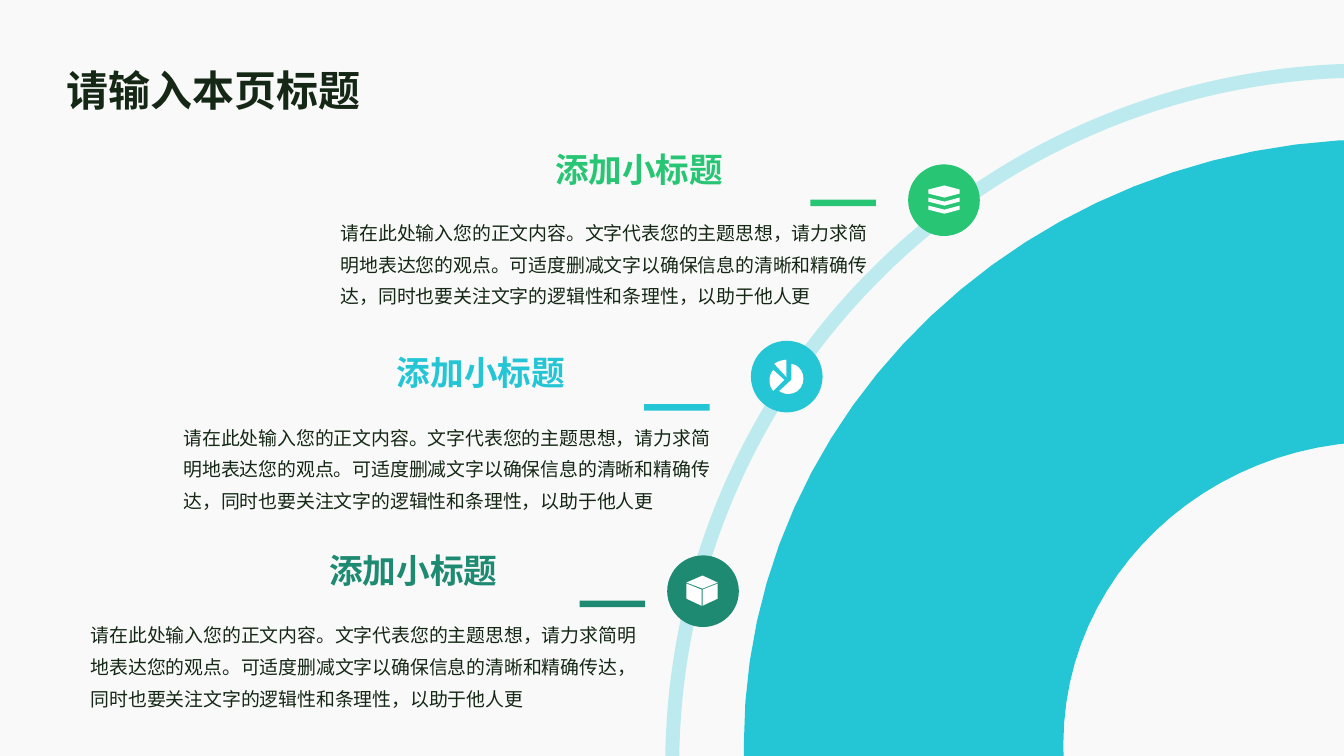
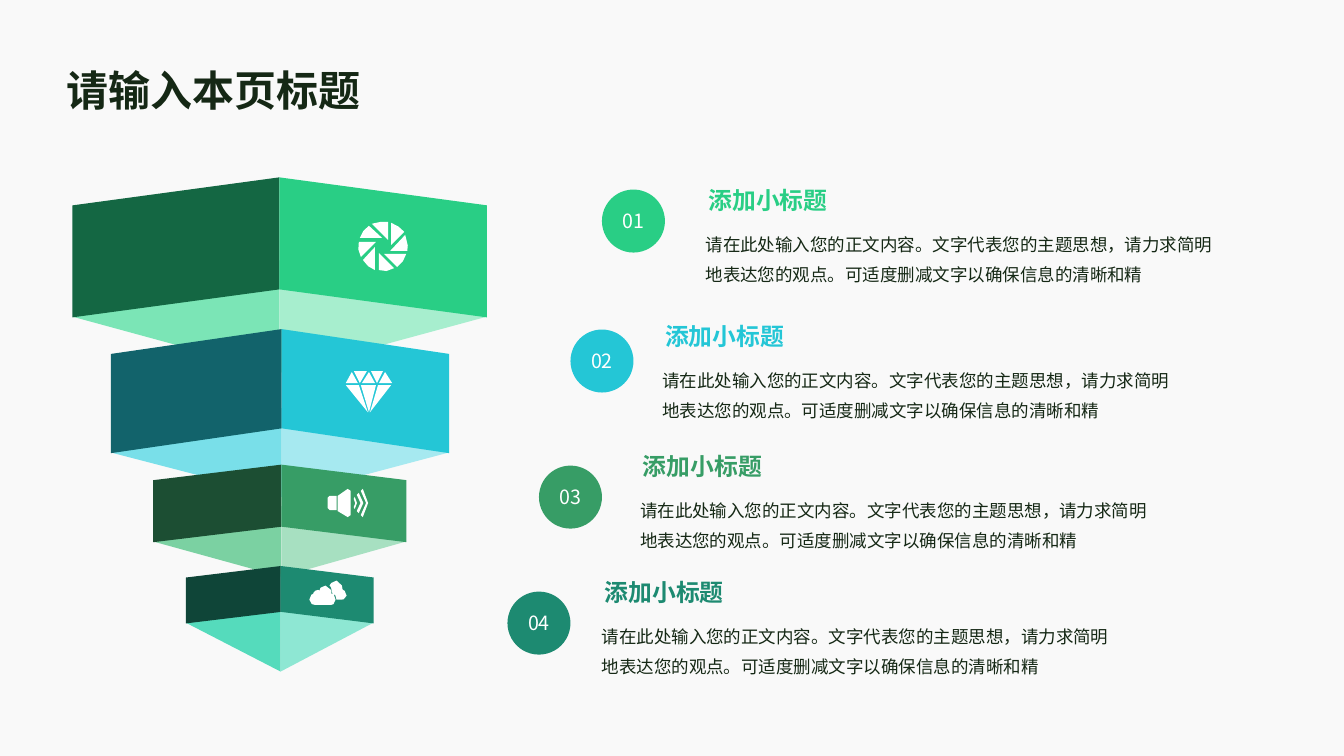
from dataclasses import dataclass

from lxml import etree
from pptx import Presentation
from pptx.dml.color import RGBColor
from pptx.enum.shapes import MSO_SHAPE
from pptx.enum.text import MSO_ANCHOR, MSO_AUTO_SIZE, PP_ALIGN
from pptx.oxml.ns import qn
from pptx.util import Pt

OVAL, BAR = MSO_SHAPE.OVAL, MSO_SHAPE.RECTANGLE
TRIANGLE, PARALLELOGRAM = MSO_SHAPE.ISOSCELES_TRIANGLE, MSO_SHAPE.PARALLELOGRAM
LEFT, CENTER = PP_ALIGN.LEFT, PP_ALIGN.CENTER
TOP, MIDDLE = MSO_ANCHOR.TOP, MSO_ANCHOR.MIDDLE
NO_AUTOFIT = MSO_AUTO_SIZE.NONE

FONT = "Noto Sans CJK SC"
PAPER, INK, WHITE = "F9F9F9", "152815", "FFFFFF"
GREEN, CYAN, TEAL = "28C674", "24C6D6", "1D8A71"
MINT, FOREST = "29CE85", "379D66"

TITLE = "请输入本页标题"
HEADING = "添加小标题"
SHORT_BODY = "请在此处输入您的正文内容。文字代表您的主题思想，请力求简明地表达您的观点。可适度删减文字以确保信息的清晰和精"
LONG_BODY = SHORT_BODY + "确传达，同时也要关注文字的逻辑性和条理性，以助于他人更"

PATH_UNIT = 0.72
BAND = (
    "M 1422 140 L 1422 442 1403 439 C 1393 438 1382 438 1371 438 "
    "C 1196 438 1055 572 1055 738 C 1055 758 1057 779 1061 798 L 1067 821 745 821 742 799 "
    "C 739 779 738 758 738 738 C 738 406 1022 138 1371 138"
)
LAYERS = (
    "M 0 20 L 16 24 31 20 31 24 16 28 0 24 M 0 12 L 16 16 31 12 31 16 16 20 0 16 "
    "M 0 4 L 16 0 31 4 31 8 16 12 0 8"
)
PIE = (
    "M 15 20 L 4 10 C -1 16 -1 25 4 31 M 22 4 L 22 20 10 31 C 13 33 16 34 19 34 "
    "C 28 34 34 27 34 19 C 34 11 29 5 22 4 M 17 17 L 17 0 C 13 0 8 2 5 4"
)
BOX = (
    "M 16 0 L 0 7 16 13 31 7 M 16 14 L 16 30 31 23 31 8 "
    "M 0 23 L 15 30 15 14 0 8"
)
APERTURE = (
    "M 47 13 L 32 29 49 29 C 50 27 50 22 47 13 "
    "M 33 23 L 46 10 C 43 6 38 3 33 1 M 26 32 L 39 45 C 43 42 47 37 48 32 "
    "M 30 18 L 30 0 C 25 0 19 0 14 2 M 21 31 L 21 48 C 26 50 31 49 36 46 "
    "M 17 25 L 5 38 C 8 43 12 46 17 48 M 1 20 C 0 25 0 30 3 35 L 18 20 "
    "M 11 4 C 7 7 3 11 2 16 L 24 16"
)
DIAMOND = (
    "M 0 14 L 22 41 13 14 M 15 14 L 23 41 30 14 M 24 41 L 45 14 32 14 "
    "M 46 12 L 39 1 33 12 M 37 0 L 25 0 31 12 M 29 12 L 23 1 16 12 "
    "M 21 0 L 8 0 14 12 M 6 1 L 0 12 12 12"
)
SPEAKER = (
    "M 27 8 L 26 10 C 28 13 28 16 26 18 L 27 20 C 30 17 30 11 27 8 "
    "M 35 0 L 33 2 C 40 9 40 19 33 26 L 35 28 C 42 20 42 8 35 0 "
    "M 31 4 L 29 6 C 34 11 34 17 29 22 L 31 24 C 37 18 37 10 31 4 "
    "M 0 9 L 0 19 2 21 9 21 9 7 2 7 M 20 0 L 10 7 10 22 20 28 23 26 23 2"
)
CLOUDS = (
    "M 22 13 C 22 13 23 6 16 5 C 11 4 10 10 10 10 C 10 10 8 8 6 10 C 4 11 4 13 4 13 "
    "C 4 13 0 14 0 19 C 0 24 5 24 5 24 L 22 24 C 22 24 26 24 26 19 C 27 14 22 13 22 13 "
    "M 33 9 C 33 9 33 1 27 0 C 22 0 20 5 20 5 C 20 5 23 7 23 13 C 25 13 27 15 27 19 "
    "L 32 19 C 32 19 36 19 37 15 C 37 10 33 9 33 9"
)


@dataclass(frozen=True)
class Icon:
    """An outline, the place of its origin and the segments in each curve."""
    outline: str
    left: float
    top: float
    steps: int = 2


@dataclass(frozen=True)
class ArcStop:
    """A disc on the arc with its heading, bar and body."""
    color: str
    disc: tuple[float, float]
    heading: tuple[float, float]
    bar: tuple[float, float]
    body: tuple[float, float, float]
    icon: Icon


@dataclass(frozen=True)
class Tier:
    """A folded block of the funnel and the entry that explains it."""
    left: float
    spine: float
    right: float
    top: float
    height: float
    underside: float
    colors: tuple[str, str, str, str]
    icon: Icon
    disc_top: float
    body: tuple[float, float]


ARC_STOPS = (
    ArcStop(GREEN, (648.7, 117.4), (283.7, 103), (578.9, 142.6), (237.6, 147.6, 394),
            Icon(LAYERS, 663.1, 132.5)),
    ArcStop(CYAN, (536.4, 243.4), (170.6, 247.7), (460.1, 288.7), (125.3, 293.8, 394),
            Icon(PIE, 549.4, 257, 5)),
    ArcStop(TEAL, (476.6, 396.7), (122.4, 389.5), (414, 429.1), (59, 434.9, 409),
            Icon(BOX, 490.3, 411.1)),
)
TIERS = (
    Tier(51.8, 199.5, 347.8, 126.7, 100, 80.5, ("146743", MINT, "7BE5B6", "A7EECE"),
         Icon(APERTURE, 255.6, 158.4), 135.4, (499, 158.4)),
    Tier(79.2, 201.2, 320.8, 235.1, 88.6, 63.4, ("12636B", CYAN, "79DFE9", "A6E9F0"),
         Icon(DIAMOND, 247, 265), 235.4, (468, 255.6)),
    Tier(109.4, 200.9, 290.2, 331.9, 55.4, 50.4, ("1C4E33", FOREST, "7BD1A2", "A7E0C1"),
         Icon(SPEAKER, 234, 349.2), 332.6, (452.2, 348.5)),
    Tier(132.8, 200.5, 266.8, 404.3, 41, 69.8, ("0F4538", TEAL, "55DBBC", "8EE7D3"),
         Icon(CLOUDS, 221, 414.7), 422.6, (424.8, 438.5)),
)


def rgb(color: str) -> RGBColor:
    """Turn a hex string into a colour."""
    return RGBColor.from_string(color)


def write_text(shape, text: str, *, size: float, color: str = INK, bold: bool = False,
               align=LEFT, anchor=TOP, spacing: float = 1.0,
               insets: tuple[float, ...] = (7.2, 3.6, 7.2, 3.6)) -> None:
    """Put one formatted paragraph into a shape."""
    frame = shape.text_frame
    frame.word_wrap = True
    frame.auto_size = NO_AUTOFIT
    frame.vertical_anchor = anchor
    (frame.margin_left, frame.margin_top,
     frame.margin_right, frame.margin_bottom) = map(Pt, insets)
    paragraph = frame.paragraphs[0]
    paragraph.alignment = align
    paragraph.line_spacing = spacing
    paragraph.space_before = Pt(0)
    run = paragraph.add_run()
    run.text = text
    run.font.size = Pt(size)
    run.font.bold = bold
    run.font.color.rgb = rgb(color)
    run.font.name = FONT
    etree.SubElement(run.font._element, qn("a:ea")).set("typeface", FONT)


def add_text(slide, text: str, left: float, top: float, width: float, height: float,
             **text_format) -> None:
    """Add a text box."""
    box = slide.shapes.add_textbox(Pt(left), Pt(top), Pt(width), Pt(height))
    write_text(box, text, **text_format)


def paint(shape, color: str) -> None:
    """Give a shape a flat fill."""
    shape.shadow.inherit = False
    shape.fill.solid()
    shape.fill.fore_color.rgb = rgb(color)
    shape.line.fill.background()


def add_preset(slide, kind, left: float, top: float, width: float, height: float, color: str):
    """Add a flat preset shape."""
    shape = slide.shapes.add_shape(kind, Pt(left), Pt(top), Pt(width), Pt(height))
    paint(shape, color)
    return shape


def add_turned(slide, kind, left: float, top: float, width: float, height: float,
               color: str, rotation: float):
    """Add a quarter-turned preset that fills the given box once turned."""
    shift = (width - height) / 2
    shape = add_preset(slide, kind, left + shift, top - shift, height, width, color)
    shape.rotation = rotation
    return shape


def curve_points(nodes: list[tuple[float, float]], steps: int) -> list[tuple[float, float]]:
    """Sample a cubic curve after its start point."""
    points = []
    for step in range(1, steps + 1):
        t = step / steps
        weights = ((1 - t) ** 3, 3 * t * (1 - t) ** 2, 3 * t * t * (1 - t), t ** 3)
        points.append(tuple(sum(weight * node[axis] for weight, node in zip(weights, nodes))
                            for axis in (0, 1)))
    return points


def contours(icon: Icon) -> list[list[tuple[float, float]]]:
    """Read an outline of M, L and C commands into polygons."""
    polygons, pending, command = [], [], "M"
    for token in icon.outline.split():
        if token in ("M", "L", "C"):
            command = token
            if command == "M":
                polygons.append([])
            continue
        pending.append(float(token))
        if len(pending) == (6 if command == "C" else 2):
            nodes = list(zip(pending[::2], pending[1::2]))
            polygon = polygons[-1]
            polygon.extend(curve_points([polygon[-1], *nodes], icon.steps)
                           if command == "C" else nodes)
            pending = []
    return polygons


def add_outline(slide, icon: Icon, color: str = WHITE) -> None:
    """Draw an outline as one freeform."""
    polygons = [[(Pt(icon.left + x * PATH_UNIT), Pt(icon.top + y * PATH_UNIT))
                 for x, y in polygon] for polygon in contours(icon)]
    builder = slide.shapes.build_freeform(*polygons[0][0])
    for index, polygon in enumerate(polygons):
        if index:
            builder.move_to(*polygon[0])
        builder.add_line_segments(polygon[1:], close=True)
    paint(builder.convert_to_shape(), color)


def add_titled_slide(presentation):
    """Add a title-only slide with the shared title style."""
    slide = presentation.slides.add_slide(presentation.slide_layouts[5])
    title = slide.shapes.title
    title.left, title.top, title.width, title.height = Pt(37.4), Pt(20.9), Pt(885), Pt(72)
    write_text(title, TITLE, size=30, bold=True, anchor=MIDDLE, spacing=1.4,
               insets=(10, 10, 4.3, 10))
    return slide


def add_ring(slide) -> None:
    """Draw the thin translucent ring."""
    ring = add_preset(slide, OVAL, 480.2, 50.4, 993.6, 993.6, CYAN)
    ring.fill.background()
    ring.line.color.rgb = rgb(CYAN)
    ring.line.width = Pt(10)
    color = ring.line._ln.find(".//" + qn("a:srgbClr"))
    etree.SubElement(color, qn("a:alpha")).set("val", "28000")


def add_arc_stop(slide, stop: ArcStop) -> None:
    """Draw one stop on the arc."""
    add_preset(slide, OVAL, *stop.disc, 51.2, 51.2, stop.color)
    add_outline(slide, stop.icon)
    add_text(slide, HEADING, *stop.heading, 347, 39, size=24, color=stop.color, bold=True,
             align=CENTER, insets=(5.8, 3.6, 7.2, 3.6))
    add_preset(slide, BAR, *stop.bar, 46.8, 4.6, stop.color)
    add_text(slide, LONG_BODY, *stop.body, 80, size=13.5, spacing=1.4,
             insets=(5.8, 4.3, 4.3, 4.3))


def add_tier(slide, tier: Tier) -> None:
    """Draw one folded funnel block."""
    dark, front, under_left, under_right = tier.colors
    left_width, right_width = tier.spine - tier.left, tier.right - tier.spine
    under_top = tier.top + tier.height - tier.underside / 2 - 0.5
    add_turned(slide, TRIANGLE, tier.left, under_top, left_width, tier.underside,
               under_left, 270)
    add_turned(slide, TRIANGLE, tier.spine, under_top, right_width, tier.underside,
               under_right, 90)
    faces = [add_turned(slide, PARALLELOGRAM, left, tier.top, width, tier.height, color, 90)
             for left, width, color in ((tier.left, left_width, dark),
                                        (tier.spine, right_width, front))]
    for face in faces:
        face.adjustments[0] = 0.2
    faces[0]._element.spPr.xfrm.set("flipH", "1")
    add_outline(slide, tier.icon)


def add_entry(slide, tier: Tier, index: int) -> None:
    """Draw the numbered text entry of a tier."""
    color = tier.colors[1]
    left, top = tier.body
    disc = add_preset(slide, OVAL, 430 - 22.5 * index, tier.disc_top, 45, 45, color)
    write_text(disc, f"{index + 1:02}", size=14, color=WHITE, align=CENTER, anchor=MIDDLE)
    add_text(slide, HEADING, left, top - 29.2, 216, 44, size=17, color=color, bold=True)
    add_text(slide, SHORT_BODY, left, top, 378, 52, size=12.5, spacing=1.4,
             insets=(5, 2.9, 5, 2.9))


def main() -> None:
    """Build and save the slides."""
    presentation = Presentation()
    presentation.slide_width, presentation.slide_height = Pt(960), Pt(540)
    background = presentation.slide_master.background.fill
    background.solid()
    background.fore_color.rgb = rgb(PAPER)

    arc_slide = add_titled_slide(presentation)
    add_ring(arc_slide)
    add_outline(arc_slide, Icon(BAND, 0, 0, 24), CYAN)
    for stop in ARC_STOPS:
        add_arc_stop(arc_slide, stop)

    funnel_slide = add_titled_slide(presentation)
    for index, tier in enumerate(TIERS):
        add_tier(funnel_slide, tier)
        add_entry(funnel_slide, tier, index)

    presentation.save("out.pptx")


if __name__ == "__main__":
    main()
